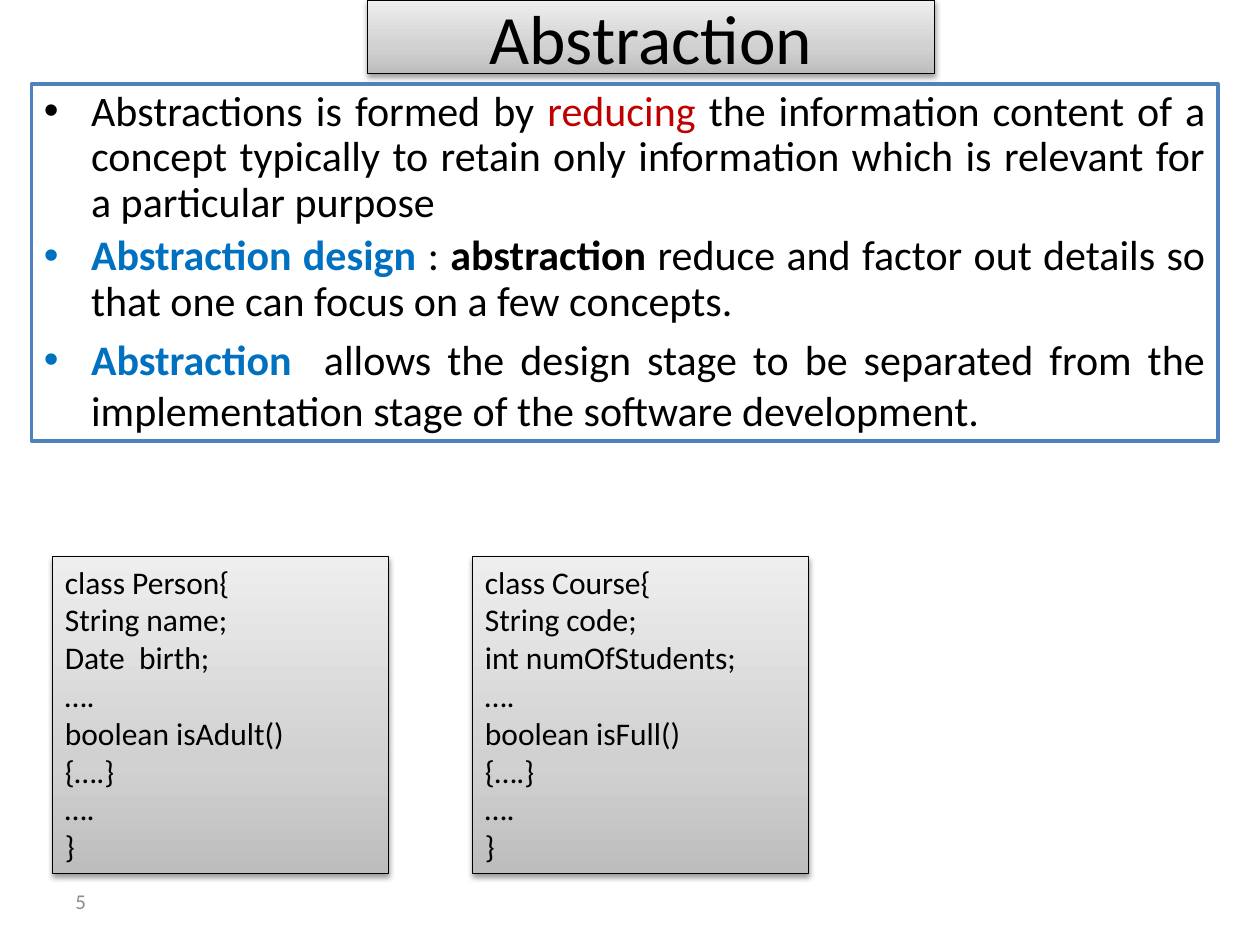
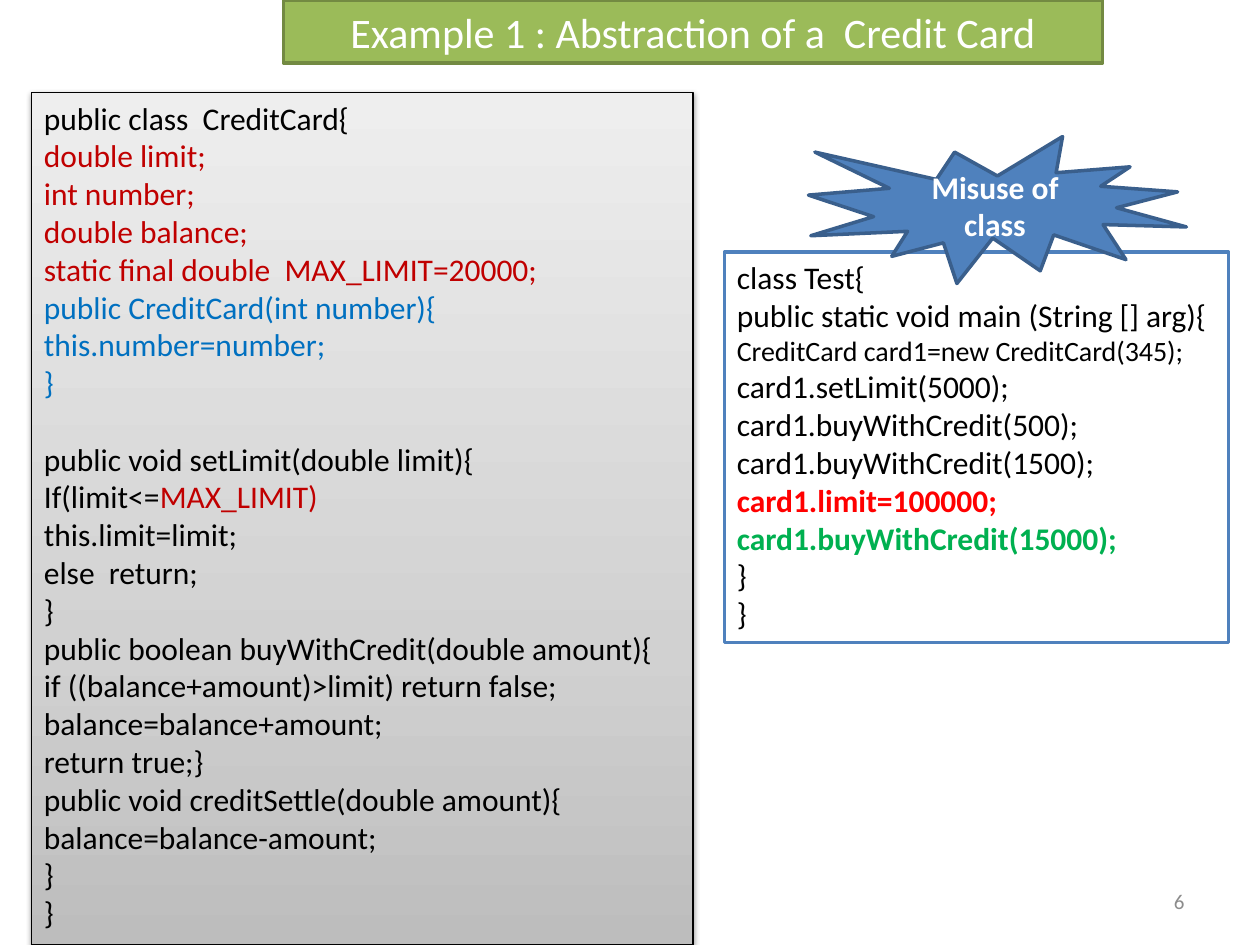
from dataclasses import dataclass

from lxml.etree import SubElement
from pptx import Presentation
from pptx.dml.color import RGBColor
from pptx.enum.shapes import MSO_SHAPE as Shape
from pptx.enum.text import MSO_ANCHOR as Anchor, PP_ALIGN as Align
from pptx.oxml import parse_xml
from pptx.oxml.ns import nsdecls, qn
from pptx.util import Pt

EMU_PER_PX = 7620  # 120 px to the inch
BLANK_LAYOUT = 6


@dataclass(frozen=True)
class Theme:
    font: str = "Calibri"
    black: str = "000000"
    white: str = "FFFFFF"
    blue: str = "4F81BD"
    dark_blue: str = "3A5F8C"
    green: str = "9BBB59"
    dark_green: str = "738A42"
    muted: str = "8C8C8C"
    field: str = "C00000"
    keyword: str = "0070C0"
    misuse: str = "FF0000"
    purchase: str = "00B050"
    metal: tuple = ((0, "BDBDBD"), (35, "D1D1D1"), (100, "EEEEEE"))
    title_size: float = 39.6
    body_size: int = 24
    code_size: int = 18
    small_code_size: int = 16
    number_size: int = 12
    thin: float = 0.75
    thick: int = 2
    body_gap: float = 4.8
    code_gap: int = 22


THEME = Theme()


@dataclass(frozen=True)
class Span:
    text: str
    color: str = THEME.black
    bold: bool = False


def px(length):
    return length * EMU_PER_PX


def code(source, color=THEME.black, bold=False):
    """Turn each line of source into a paragraph of one span."""
    return [[Span(line, color, bold)] for line in source.strip().splitlines()]


# Text
def add_bullet(paragraph, indent=45):
    properties = paragraph._p.get_or_add_pPr()
    properties.set("marL", str(px(indent)))
    properties.set("indent", str(-px(indent)))
    SubElement(properties, qn("a:buFont"), typeface="Arial")
    SubElement(properties, qn("a:buChar"), char="•")


def write(shape, paragraphs, size, align=Align.LEFT, anchor=Anchor.TOP, bullets=False):
    frame = shape.text_frame
    frame.word_wrap = True
    frame.vertical_anchor = anchor
    for index, spans in enumerate(paragraphs):
        paragraph = frame.paragraphs[0] if index == 0 else frame.add_paragraph()
        paragraph.alignment = align
        if bullets:
            add_bullet(paragraph)
            paragraph.space_before = Pt(THEME.body_gap)
        paragraph.font.name = THEME.font
        paragraph.font.size = Pt(size)
        for span in spans:
            run = paragraph.add_run()
            run.text = span.text
            run.font.color.rgb = RGBColor.from_string(span.color)
            run.font.bold = span.bold
    return frame.paragraphs


# Boxes
def add_box(slide, box, fill, line, width=THEME.thick, kind=Shape.RECTANGLE):
    shape = slide.shapes.add_shape(kind, *map(px, box))
    shape.shadow.inherit = False
    shape.fill.solid()
    shape.fill.fore_color.rgb = RGBColor.from_string(fill)
    shape.line.color.rgb = RGBColor.from_string(line)
    shape.line.width = Pt(width)
    return shape


def add_metal_box(slide, box):
    """Grey box, light at the top, with a soft shadow below."""
    shape = add_box(slide, box, THEME.white, THEME.black, THEME.thin)
    properties = shape._element.spPr
    stops = "".join(
        f'<a:gs pos="{position * 1000}"><a:srgbClr val="{color}"/></a:gs>'
        for position, color in THEME.metal
    )
    gradient = parse_xml(
        f'<a:gradFill {nsdecls("a")} rotWithShape="1"><a:gsLst>{stops}</a:gsLst>'
        '<a:lin ang="16200000" scaled="0"/></a:gradFill>'
    )
    properties.replace(properties.find(qn("a:solidFill")), gradient)
    properties.find(qn("a:effectLst")).append(parse_xml(
        f'<a:outerShdw {nsdecls("a")} blurRad="40000" dist="20000" dir="5400000" '
        'rotWithShape="0"><a:srgbClr val="000000"><a:alpha val="38000"/>'
        '</a:srgbClr></a:outerShdw>'
    ))
    return shape


def add_code_box(slide, box, lines):
    return write(add_metal_box(slide, box), lines, THEME.code_size)


def add_slide_number(slide, number, left, align):
    shape = slide.shapes.add_textbox(*map(px, (left, 834, 280, 48)))
    write(shape, [[Span(number, THEME.muted)]], THEME.number_size, align, Anchor.MIDDLE)


# Slides
def build_abstraction(slide):
    add_slide_number(slide, "5", 60, Align.LEFT)
    title = add_metal_box(slide, (350, 0, 540, 70))
    write(title, [[Span("Abstraction")]], THEME.title_size, Align.CENTER, Anchor.MIDDLE)

    body = add_box(slide, (30, 80, 1130, 340), THEME.white, THEME.blue)
    points = write(body, [
        [Span("Abstractions is formed by "), Span("reducing", THEME.field),
         Span(" the information content of a concept typically to retain only "
              "information which is relevant for a particular purpose")],
        [Span("Abstraction design ", THEME.keyword, True), Span(": "),
         Span("abstraction", bold=True),
         Span(" reduce and factor out details so that one can focus on a few concepts.")],
        [Span("Abstraction", THEME.keyword, True),
         Span("  allows the design stage to be separated from the implementation "
              "stage of the software development.")],
    ], THEME.body_size, Align.JUSTIFY, bullets=True)
    for point in points[:2]:
        point.line_spacing = 0.9

    # Two sample classes side by side
    classes = (
        ("Person", "String name;", "Date  birth;", "isAdult"),
        ("Course", "String code;", "int numOfStudents;", "isFull"),
    )
    for column, (name, first, second, method) in enumerate(classes):
        add_code_box(slide, (50 + column * 400, 530, 320, 302), code(
            f"class {name}{{\n{first}\n{second}\n….\nboolean {method}()\n{{….}}\n….\n}}"
        ))


def build_credit_card(slide):
    add_slide_number(slide, "6", 860, Align.RIGHT)

    # Class definition
    fields = code("""
double limit;
int number;
double balance;
static final double  MAX_LIMIT=20000;
""", THEME.field)
    constructor = code("""
public CreditCard(int number){
this.number=number;
}
""", THEME.keyword)
    limit_check = [[Span("If(limit<="), Span("MAX_LIMIT)", THEME.field)]]
    methods = code("""
this.limit=limit;
else  return;
}
public boolean buyWithCredit(double amount){
if ((balance+amount)>limit) return false;
balance=balance+amount;
return true;}
public void creditSettle(double amount){
balance=balance-amount;
}
}
""")
    header = code("public class  CreditCard{") + fields + constructor
    setter = code("public void setLimit(double limit){") + limit_check
    lines = add_code_box(slide, (30, 88, 630, 812), header + setter + methods)
    lines[len(header)].space_before = Pt(THEME.code_gap)

    # Title band
    title = add_box(slide, (270, 0, 780, 60), THEME.green, THEME.dark_green)
    write(title, [[Span("Example 1 : Abstraction of a  Credit Card", THEME.white)]],
          THEME.body_size, Align.CENTER)

    # Test program and the warning over it
    test = add_box(slide, (690, 240, 480, 372), THEME.white, THEME.blue)
    calls = code("""
class Test{
public static void main (String [] arg){
CreditCard card1=new CreditCard(345);
card1.setLimit(5000);
card1.buyWithCredit(500);
card1.buyWithCredit(1500);
""")
    misuse = code("card1.limit=100000;", THEME.misuse, True)
    purchase = code("card1.buyWithCredit(15000);", THEME.purchase, True)
    test_lines = write(test, calls + misuse + purchase + code("}\n}"), THEME.code_size)
    test_lines[2].font.size = Pt(THEME.small_code_size)

    burst = add_box(slide, (770, 130, 360, 140), THEME.blue, THEME.dark_blue,
                    kind=Shape.EXPLOSION1)
    write(burst, [[Span("Misuse of class", THEME.white, True)]],
          THEME.code_size, Align.CENTER, Anchor.MIDDLE)


def main():
    presentation = Presentation()
    presentation.slide_width = px(1200)
    presentation.slide_height = px(900)
    for build in (build_abstraction, build_credit_card):
        build(presentation.slides.add_slide(presentation.slide_layouts[BLANK_LAYOUT]))
    presentation.save("out.pptx")


if __name__ == "__main__":
    main()
